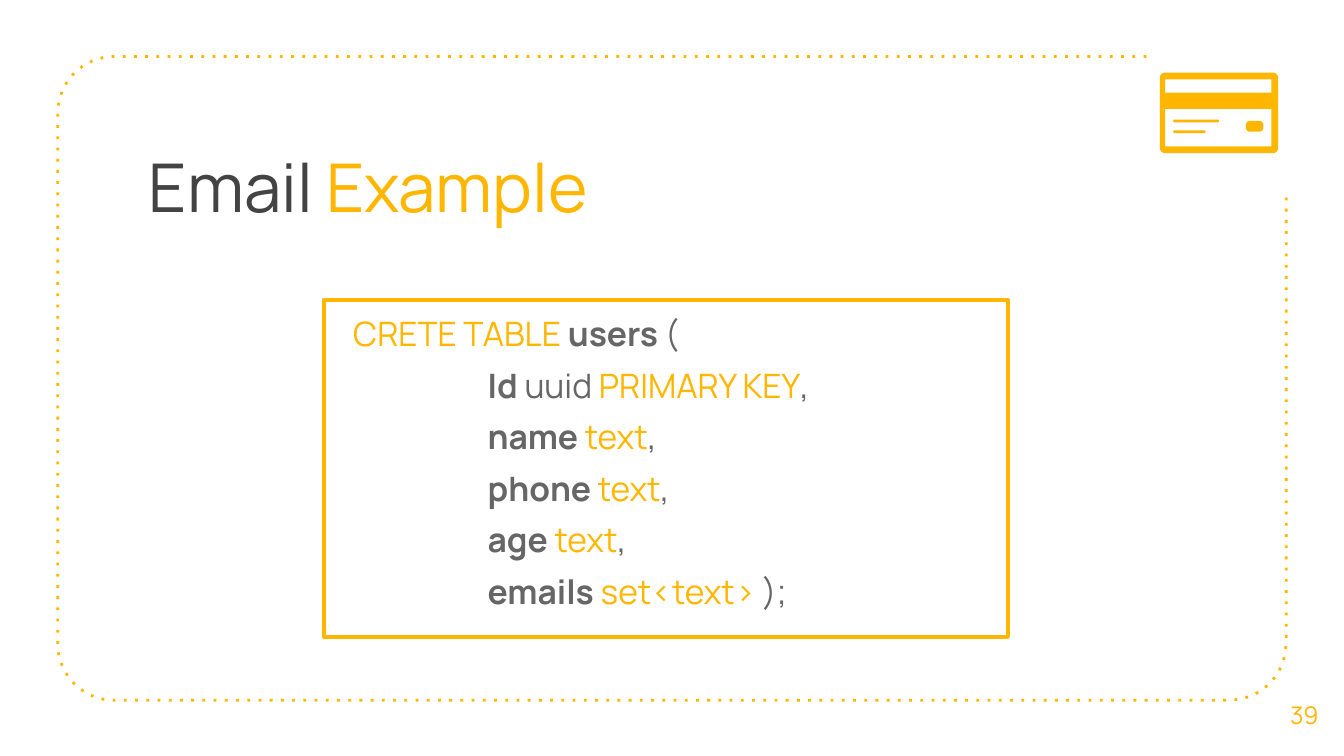
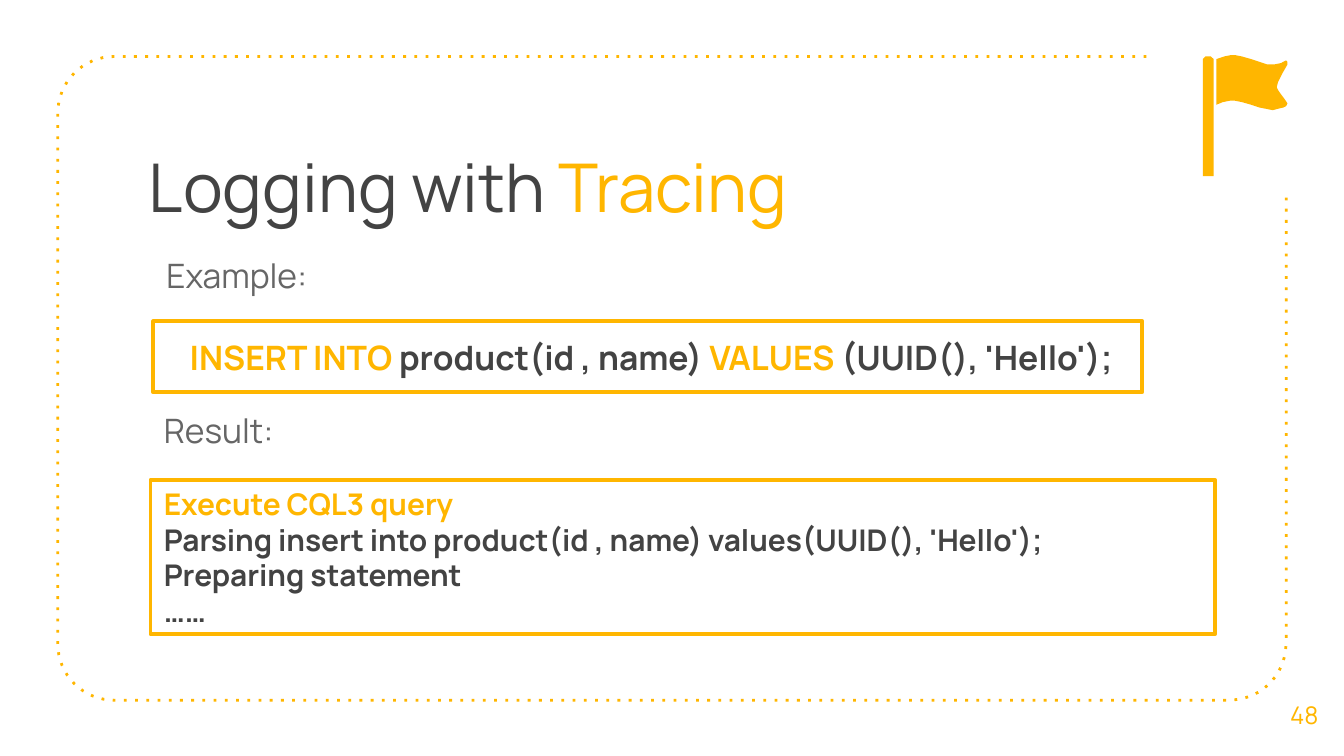
"""Build two database slides inside a shared dotted frame."""
import math
import pptx
import pptx.dml.color
import pptx.enum.dml
import pptx.enum.shapes
import pptx.enum.text
import pptx.oxml.ns
import pptx.util

Inches = pptx.util.Inches
colour = pptx.dml.color.RGBColor.from_string
SHAPE = pptx.enum.shapes.MSO_SHAPE
TOP = pptx.enum.text.MSO_ANCHOR.TOP
MIDDLE = pptx.enum.text.MSO_ANCHOR.MIDDLE
LEFT = pptx.enum.text.PP_ALIGN.LEFT
CENTER = pptx.enum.text.PP_ALIGN.CENTER
AMBER, DARK, GREY, WHITE = "FFB600", "434343", "666666", "FFFFFF"
FONT = "Manrope"


def rounded_corners(left, top, right, bottom, radius, count):
    """Return corner points in inches, counter-clockwise from the top left."""
    centres = [
        (left + radius, top + radius),
        (left + radius, bottom - radius),
        (right - radius, bottom - radius),
        (right - radius, top + radius),
    ]
    points = []
    for index, (x, y) in enumerate(centres[:count]):
        for step in range(9):
            angle = math.radians(90 + 90 * index + 90 * step / 8)
            points.append((x + radius * math.cos(angle), y - radius * math.sin(angle)))
    return points


def add_text(slide, box, paragraphs, size, anchor=TOP, align=LEFT, before=0,
             outlined=False, fill=None, indents=None):
    """Add a text box or outlined rectangle; each run is (text, colour, bold)."""
    place = [Inches(value) for value in box]
    if outlined:
        shape = slide.shapes.add_shape(SHAPE.RECTANGLE, *place)
        shape.shadow.inherit = False
        shape.line.color.rgb = colour(AMBER)
        shape.line.width = pptx.util.Pt(2)
        if fill:
            shape.fill.solid()
            shape.fill.fore_color.rgb = colour(fill)
        else:
            shape.fill.background()
    else:
        shape = slide.shapes.add_textbox(*place)
    frame = shape.text_frame
    frame.word_wrap = True
    frame.vertical_anchor = anchor
    frame.margin_left = frame.margin_right = Inches(0.1)
    frame.margin_top = frame.margin_bottom = Inches(0.1)
    for index, runs in enumerate(paragraphs):
        paragraph = frame.add_paragraph() if index else frame.paragraphs[0]
        paragraph.alignment = align
        paragraph.space_before = pptx.util.Pt(before)
        paragraph.font.name = FONT
        paragraph.font.size = pptx.util.Pt(size)
        if indents:
            paragraph._p.get_or_add_pPr().set("marL", str(Inches(indents[index])))
        for text, run_colour, bold in runs:
            run = paragraph.add_run()
            run.text = text
            run.font.bold = bold
            run.font.color.rgb = colour(run_colour)


presentation = pptx.Presentation()
presentation.slide_width = Inches(10)
presentation.slide_height = Inches(10) * 9 // 16

frame_points = [(8.53, 0.42), *rounded_corners(0.43, 0.42, 9.57, 5.21, 0.42, 3), (9.57, 1.46)]
headings = [
    ("Email ", "Example", 4.76, "39"),
    ("Logging with ", "Tracing", 6.29, "48"),
]
slides = []
for dark_part, amber_part, width, number in headings:
    slide = presentation.slides.add_slide(presentation.slide_layouts[6])
    slides.append(slide)
    points = [(Inches(x), Inches(y)) for x, y in frame_points]
    builder = slide.shapes.build_freeform(*points[0], scale=1.0)
    builder.add_line_segments(points[1:], close=False)
    border = builder.convert_to_shape()
    border.shadow.inherit = False
    border.fill.background()
    border.line.color.rgb = colour(AMBER)
    border.line.width = pptx.util.Pt(1.5)
    border.line.dash_style = pptx.enum.dml.MSO_LINE.ROUND_DOT
    border._element.spPr.find(".//" + pptx.oxml.ns.qn("a:prstDash")).set("val", "dot")
    add_text(slide, (1.01, 0.98, width, 1.41),
             [[(dark_part, DARK, False), (amber_part, AMBER, False)]], 36)
    add_text(slide, (9.41, 5.02, 0.59, 0.6), [[(number, AMBER, False)]], 13, MIDDLE, CENTER)

email_slide, tracing_slide = slides

table_code = [
    [("CRETE TABLE ", AMBER, False), ("users ", GREY, True), ("(", GREY, False)],
    [("Id", GREY, True), (" uuid ", GREY, False), ("PRIMARY KEY", AMBER, False), (",", GREY, False)],
]
for column, kind, ending in [
    ("name ", "text", ","),
    ("phone ", "text", ","),
    ("age ", "text", ","),
    ("emails ", "set<text> ", ");"),
]:
    table_code.append([(column, GREY, True), (kind, AMBER, False), (ending, GREY, False)])
add_text(email_slide, (2.41, 2.23, 5.09, 2.51), table_code, 18, before=6,
         outlined=True, indents=[0.12] + [1.12] * 5)

insert_code = [
    (" INSERT INTO ", AMBER, True),
    ("product(id , name) ", DARK, True),
    ("VALUES ", AMBER, True),
    ("(UUID(), 'Hello');", DARK, True),
]
add_text(tracing_slide, (1.14, 2.39, 7.36, 0.53), [insert_code], 18, MIDDLE, CENTER,
         outlined=True, fill=WHITE)
add_text(tracing_slide, (1.14, 1.8, 7.65, 0.59), [[("Example:", GREY, False)]], 18, before=6)
trace_lines = [
    ("Execute CQL3 query", AMBER),
    ("Parsing insert into product(id , name) values(UUID(), 'Hello');", DARK),
    ("Preparing statement", DARK),
    ("……", DARK),
]
add_text(tracing_slide, (1.12, 3.57, 7.92, 1.15),
         [[(text, line_colour, True)] for text, line_colour in trace_lines], 16, MIDDLE,
         outlined=True, fill=WHITE)
add_text(tracing_slide, (1.12, 2.95, 7.65, 0.59), [[("Result:", GREY, False)]], 18, before=6)

card = [rounded_corners(8.63, 0.54, 9.51, 1.14, 0.04, 4)]
for top, bottom in [(0.59, 0.69), (0.81, 1.09)]:
    card.append([(8.67, top), (9.46, top), (9.46, bottom), (8.67, bottom)])
flag = [
    (9.16, 0.41), (9.11, 0.42), (9.05, 0.44), (9.05, 0.78), (9.1, 0.76), (9.15, 0.75),
    (9.19, 0.75), (9.24, 0.76), (9.31, 0.78), (9.37, 0.8), (9.42, 0.81), (9.47, 0.82),
    (9.51, 0.81), (9.55, 0.8), (9.57, 0.79), (9.58, 0.77), (9.56, 0.74), (9.53, 0.7),
    (9.51, 0.67), (9.5, 0.65), (9.51, 0.61), (9.54, 0.55), (9.58, 0.48), (9.58, 0.46),
    (9.57, 0.45), (9.53, 0.47), (9.48, 0.48), (9.43, 0.48), (9.37, 0.46), (9.31, 0.44),
    (9.24, 0.42), (9.19, 0.41),
]
pole = [(8.97, 0.42), (8.95, 0.44), (8.95, 1.31), (9.03, 1.31), (9.03, 0.44), (9.01, 0.42)]
icon_parts = [
    (email_slide, card),
    (email_slide, [rounded_corners(8.73, 0.89, 9.07, 0.91, 0.01, 4)]),
    (email_slide, [rounded_corners(8.73, 0.97, 8.97, 0.99, 0.01, 4)]),
    (email_slide, [rounded_corners(9.27, 0.9, 9.4, 0.98, 0.03, 4)]),
    (tracing_slide, [pole]),
    (tracing_slide, [flag]),
]
for slide, contours in icon_parts:
    builder = None
    for contour in contours:
        points = [(Inches(x), Inches(y)) for x, y in contour]
        if builder is None:
            builder = slide.shapes.build_freeform(*points[0], scale=1.0)
        else:
            builder.move_to(*points[0])
        builder.add_line_segments(points[1:], close=True)
    part = builder.convert_to_shape()
    part.shadow.inherit = False
    part.fill.solid()
    part.fill.fore_color.rgb = colour(AMBER)
    part.line.fill.background()

presentation.save("out.pptx")
